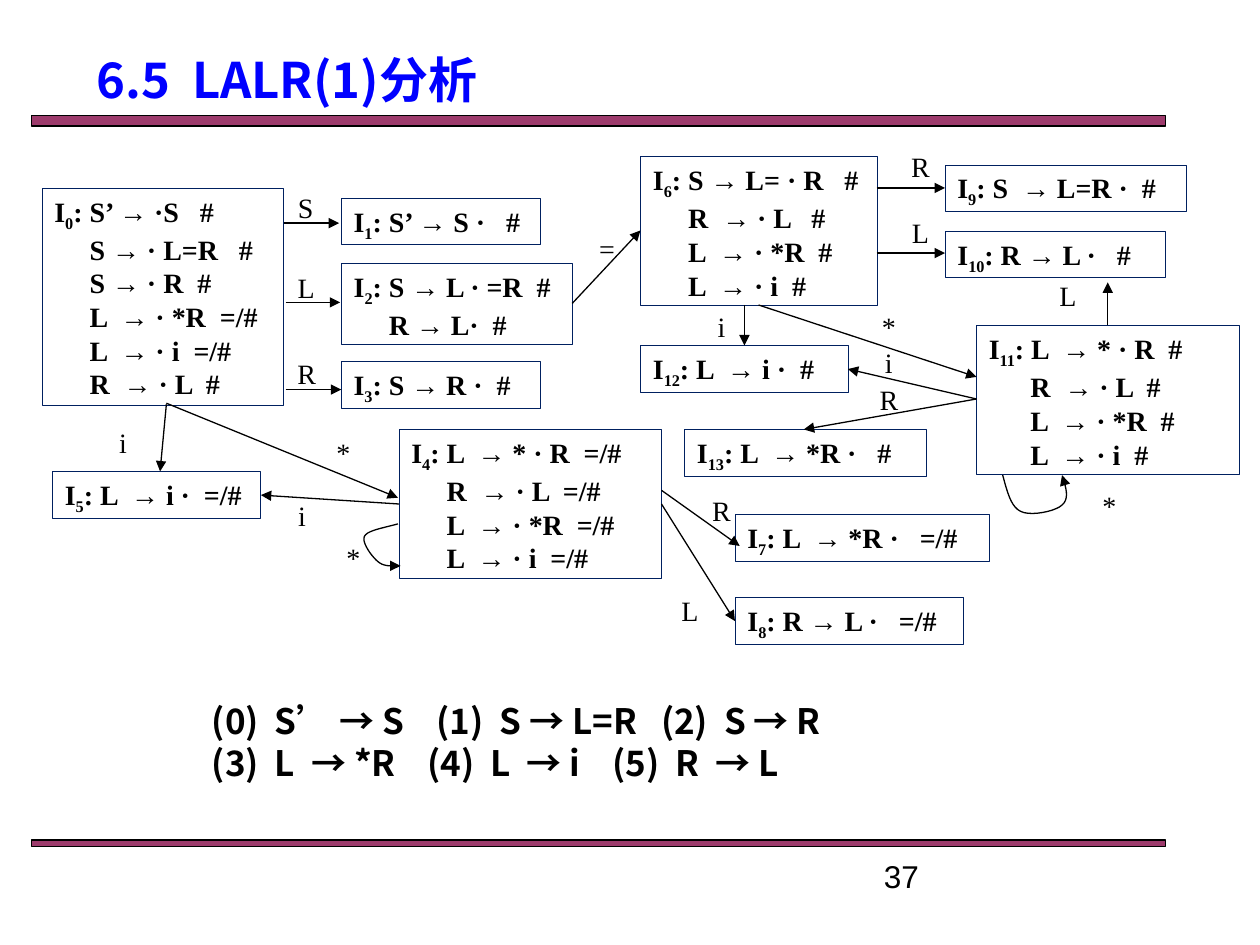
from pptx import Presentation, util as u
from pptx.dml.color import RGBColor
from pptx.enum import shapes, text
from pptx.oxml import ns
from lxml import etree

BLACK = RGBColor(0, 0, 0)
BLUE = RGBColor(0, 0, 255)
NAVY = RGBColor(0, 32, 96)
PLUM = RGBColor(153, 51, 102)
SERIF, SANS, PLAIN = "Times New Roman", "Noto Sans CJK SC", "Arial"
CELL = u.Inches(1) / 12
ROW, STEP = 4.45, 3.24

STATES = [
    ("0", 1, 5.9, 23, [": S’ → ·S   #", "S → · L=R   #", "S → · R  #",
                       "L  → · *R  =/#", "L  → · i  =/#", "R  → · L  #"]),
    ("1", 29.5, 6.85, 19, [": S’ → S ·   #"]),
    ("2", 29.5, 13.1, 22, [": S → L · =R  #", "R → L·  #"]),
    ("3", 29.5, 22.45, 19, [": S → R ·  #"]),
    ("4", 35, 28.9, 25, [": L  → * · R  =/#", "R  → · L  =/#",
                         "L  → · *R  =/#", "L  → · i  =/#"]),
    ("5", 2, 32.9, 19.8, [": L  → i ·  =/#"]),
    ("6", 58, 2.9, 22.5, [": S → L= · R   #", "R  → · L   #",
                          "L  → · *R  #", "L  → · i  #"]),
    ("7", 67, 37, 24.2, [": L  → *R ·   =/#"]),
    ("8", 67, 44.9, 21.7, [": R → L ·   =/#"]),
    ("9", 87, 3.7, 23, [": S  → L=R ·  #"]),
    ("10", 87, 10, 21, [": R → L ·   #"]),
    ("11", 90, 19, 25, [": L  → * · R  #", "R  → · L  #",
                        "L  → · *R  #", "L  → · i  #"]),
    ("12", 58, 20.9, 19.8, [": L  → i ·  #"]),
    ("13", 62.2, 28.9, 23, [": L  → *R ·   #"]),
]

EDGES = [
    ("S", 26.1, 7.75, (24, 9.25), (29.3, 9.25)),
    ("L", 26.15, 15.4, (24.2, 16.8), (29.4, 16.8)),
    ("R", 26.2, 23.6, (24.2, 25.1), (29.5, 25.1)),
    ("*", 29.7, 31.15, (12.85, 26.4), (34.9, 35.4)),
    ("i", 8.7, 30.2, (12.85, 26.5), (12.25, 32.9)),
    ("i", 25.75, 37.15, (35, 36), (21.85, 35.15)),
    ("R", 65.7, 36.65, (60, 34.7), (67.45, 40)),
    ("L", 62.7, 46.15, (60, 36), (67, 47.15)),
    ("=", 54.8, 11.7, (51.5, 16.9), (58, 9.95)),
    ("R", 84.65, 3.9, (80.5, 5.9), (87, 5.9)),
    ("L", 84.65, 10.15, (80.5, 12.1), (87, 12.1)),
    ("i", 65.7, 19.15, (67.9, 17.05), (67.9, 20.9)),
    ("*", 81.65, 19.15, (69.25, 17.05), (90, 23.9)),
    ("L", 98.7, 16.15, (102.5, 19), (102.5, 14.9)),
    ("R", 81.65, 26.1, (90, 26), (73.55, 28.9)),
    ("i", 81.65, 22.5, (90, 26), (77.75, 23.15)),
]

LOOPS = [
    ("*", 30.65, 41.1, [(34.9, 37.9), (33.5, 38.3), (32, 38.5), (31.7, 39.1),
                        (31.45, 39.7), (32.4, 41), (33, 41.5),
                        (33.6, 42), (34.3, 41.9), (35.15, 41.9)]),
    ("*", 102.65, 36.2, [(92.5, 33.25), (92.9, 34.7), (93.25, 36.25), (94.2, 36.7),
                         (95.15, 37.2), (97.55, 36.7), (98.15, 36.1),
                         (98.9, 35.5), (98.5, 34.3), (98.15, 33.25)]),
]


def cells(*vals):
    return [u.Emu(round(v * CELL)) for v in vals]


def child(node, tag, **attrs):
    return etree.SubElement(node, ns.qn(tag), **attrs)


def style(run, size, face, color=BLACK, bold=False):
    font = run.font
    font.size, font.name, font.bold = u.Pt(size), face, bold
    font.color.rgb = color
    child(run._r.get_or_add_rPr(), "a:ea", typeface=face)


def write(slide, box, lines, size, face, color=BLACK, bold=False,
          align=None, space=None, anchor=text.MSO_ANCHOR.TOP):
    frame = slide.shapes.add_textbox(*cells(*box)).text_frame
    frame.word_wrap = True
    frame.vertical_anchor = anchor
    frame.text = "\n".join(lines)
    for para in frame.paragraphs:
        para.alignment = align
        para.line_spacing = space
        for run in para.runs:
            style(run, size, face, color, bold)


def arrow(shape):
    shape.line.color.rgb = BLACK
    shape.line.width = u.Pt(0.75)
    child(shape.line._get_or_add_ln(), "a:tailEnd", type="triangle")


def bar(slide, box):
    shape = slide.shapes.add_shape(shapes.MSO_SHAPE.RECTANGLE, *cells(*box))
    shape.shadow.inherit = False
    shape.fill.solid()
    shape.fill.fore_color.rgb = PLUM
    tint = shape._element.spPr.find(".//" + ns.qn("a:srgbClr"))
    child(tint, "a:alpha", val="96000")
    shape.line.color.rgb = BLACK
    shape.line.width = u.Pt(0.75)


def state(slide, box, name, items):
    shape = slide.shapes.add_shape(shapes.MSO_SHAPE.RECTANGLE, *cells(*box))
    shape.shadow.inherit = False
    shape.fill.background()
    shape.line.color.rgb = NAVY
    shape.line.width = u.Pt(0.25)
    frame = shape.text_frame
    frame.word_wrap = False
    frame.vertical_anchor = text.MSO_ANCHOR.TOP
    frame.text = "\n".join(["I"] + items[1:])
    head, *rest = frame.paragraphs
    for part in (name, items[0]):
        head.add_run().text = part
    for para in frame.paragraphs:
        para.alignment = text.PP_ALIGN.LEFT
        for run in para.runs:
            style(run, 16, SERIF, bold=True)
    head.runs[1]._r.get_or_add_rPr().set("baseline", "-25000")
    inset = 0.28 if len(name) == 1 else 0.33
    for para in rest:
        para._p.get_or_add_pPr().set("marL", str(u.Inches(inset)))


def label(slide, x, y, mark):
    write(slide, (x - 2.7, y - ROW / 2, 5.4, ROW), [mark], 16, SERIF,
          align=text.PP_ALIGN.CENTER)


def edge(slide, start, end):
    line = slide.shapes.add_connector(
        shapes.MSO_CONNECTOR.STRAIGHT, *cells(*start, *end))
    arrow(line)
    child(line._element.spPr, "a:effectLst")


def curve(knots, steps=10):
    for i in range(0, len(knots) - 1, 3):
        for k in range(1, steps + 1):
            t = k / steps
            parts = ((1 - t) ** 3, 3 * t * (1 - t) ** 2, 3 * t * t * (1 - t), t ** 3)
            yield [sum(w * p[axis] for w, p in zip(parts, knots[i:i + 4]))
                   for axis in (0, 1)]


def loop(slide, knots):
    pen = slide.shapes.build_freeform(*cells(*knots[0]))
    pen.add_line_segments([cells(*p) for p in curve(knots)], close=False)
    shape = pen.convert_to_shape()
    shape.shadow.inherit = False
    shape.fill.background()
    arrow(shape)


def graph(slide, left, top):
    def move(point):
        return left + point[0], top + point[1]

    for name, x, y, wide, items in STATES:
        high = ROW + STEP * (len(items) - 1)
        state(slide, (*move((x, y)), wide, high), name, items)
    for mark, x, y, start, end in EDGES:
        edge(slide, move(start), move(end))
        label(slide, *move((x, y)), mark)
    for mark, x, y, knots in LOOPS:
        loop(slide, [move(p) for p in knots])
        label(slide, *move((x, y)), mark)


def rules(slide, box):
    write(slide, box, ["(0)  S’ → S    (1)  S → L=R   (2)  S → R",
                       "(3)  L  → *R    (4)  L  → i    (5)  R  → L"],
          20, SANS, bold=True, space=u.Pt(24))


def main():
    deck = Presentation()
    deck.slide_width, deck.slide_height = cells(120, 90)
    slide = deck.slides.add_slide(deck.slide_layouts[6])
    bar(slide, (3, 11, 108, 1))
    bar(slide, (3, 80, 108, 0.6))
    write(slide, (83, 81, 28, 3.3), ["37"], 18, PLAIN)
    rules(slide, (19, 66, 81, 9.2))
    graph(slide, 3, 12)
    write(slide, (8, 4, 45, 7), ["6.5  LALR(1)分析"], 28, SANS, BLUE, True,
          anchor=text.MSO_ANCHOR.MIDDLE)
    deck.save("out.pptx")


if __name__ == "__main__":
    main()
